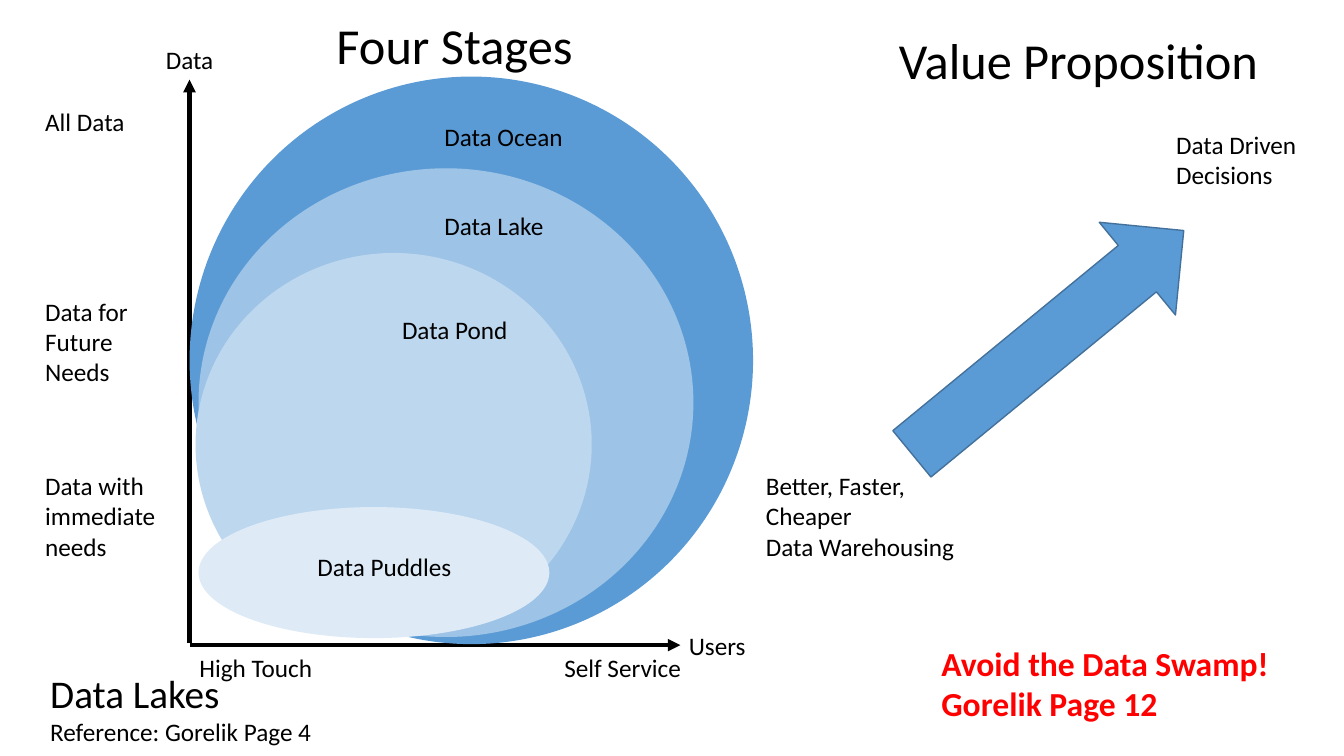
"""Build the four stages of data lakes slide."""
from lxml import etree
from pptx import Presentation
from pptx import util as u
from pptx.dml.color import RGBColor
from pptx.enum import shapes, text
from pptx.oxml.ns import qn

COLORS = {
    "ink": "000000", "warning": "FF0000", "arrow": "5B9BD5", "arrow_edge": "43719C",
    "ocean": "5B9BD5", "lake": "9DC3E6", "pond": "BDD7EE", "puddles": "DEEBF7",
}
BODY, HEADING = 18, 36
LINE_HEIGHT, BOX_PADDING = 1.22, 7.2


class Sketch:
    def __init__(self, page, font):
        self.page = page
        self.font = font

    def color(self, name):
        return RGBColor.from_string(COLORS[name])

    def label(self, left, top, width, lines, sizes=(BODY,), color="ink",
              bold=False, centered=False, wrap=False):
        sizes = sizes if len(sizes) == len(lines) else sizes * len(lines)
        height = BOX_PADDING + LINE_HEIGHT * sum(sizes)
        box = self.page.shapes.add_textbox(u.Pt(left), u.Pt(top), u.Pt(width), u.Pt(height))
        frame = box.text_frame
        frame.word_wrap = wrap
        frame.auto_size = text.MSO_AUTO_SIZE.SHAPE_TO_FIT_TEXT
        frame.text = "\n".join(lines)
        for para, size in zip(frame.paragraphs, sizes):
            para.alignment = text.PP_ALIGN.CENTER if centered else text.PP_ALIGN.LEFT
            for span in para.runs:
                span.font.name = self.font
                span.font.size = u.Pt(size)
                span.font.bold = bold
                span.font.color.rgb = self.color(color)

    def shape(self, kind, left, top, width, height, fill, edge=None, rotation=0):
        shape = self.page.shapes.add_shape(
            kind, u.Pt(left), u.Pt(top), u.Pt(width), u.Pt(height))
        shape.shadow.inherit = False
        shape.rotation = rotation
        shape.fill.solid()
        shape.fill.fore_color.rgb = self.color(fill)
        if edge:
            shape.line.color.rgb = self.color(edge)
            shape.line.width = u.Pt(1)
        else:
            shape.line.fill.background()

    def axis(self, start_x, start_y, end_x, end_y):
        axis = self.page.shapes.add_connector(
            shapes.MSO_CONNECTOR.STRAIGHT,
            u.Pt(start_x), u.Pt(start_y), u.Pt(end_x), u.Pt(end_y))
        axis.line.color.rgb = self.color("ink")
        axis.line.width = u.Pt(3)
        etree.SubElement(axis.line._get_or_add_ln(), qn("a:tailEnd"), type="triangle")
        etree.SubElement(axis._element.spPr, qn("a:effectLst"))


def main():
    deck = Presentation()
    deck.slide_width, deck.slide_height = u.Pt(960), u.Pt(540)
    sketch = Sketch(deck.slides.add_slide(deck.slide_layouts[6]), "Calibri")

    for top, width, lines in (
        (72.7, 72, ["All Data"]),
        (208, 78.5, ["Data for", "Future", "Needs"]),
        (332.6, 98, ["Data with", "immediate", "needs"]),
    ):
        sketch.label(25.2, top, width, lines)

    sketch.axis(135.4, 459.4, 135.4, 56.9)
    sketch.axis(135.4, 460.8, 486, 460.8)
    sketch.label(110.9, 28.1, 49, ["Data"], centered=True)
    sketch.label(484.6, 446.4, 55.4, ["Users"], centered=True)
    for left, caption in ((135.4, "High Touch"), (396, "Self Service")):
        sketch.label(left, 462.2, 108, [caption], wrap=True)
    sketch.label(28.8, 474.5, 432.7, ["Data Lakes", "Reference: Gorelik Page 4"],
                 sizes=(28, BODY), wrap=True)

    for fill, bounds, caption, place in (
        ("ocean", (135.4, 54.7, 402.5, 405.4), "Data Ocean", (310.3, 82.8, 100)),
        ("lake", (141.8, 120.2, 353.5, 334.8), "Data Lake", (310.3, 146.9, 86.4)),
        ("pond", (139.7, 180.7, 283, 273.6), "Data Pond", (280.1, 221, 90.7)),
        ("puddles", (141.8, 362.2, 250.6, 93.6), "Data Puddles", (219.6, 390.2, 111.6)),
    ):
        sketch.shape(shapes.MSO_SHAPE.OVAL, *bounds, fill)
        sketch.label(*place, [caption])

    sketch.label(233.3, 6.5, 185, ["Four Stages"], sizes=(HEADING,))
    sketch.shape(shapes.MSO_SHAPE.RIGHT_ARROW, 622.8, 201.6, 251.3, 85.7,
                 "arrow", edge="arrow_edge", rotation=320.6)
    sketch.label(635, 17.3, 273.6, ["Value Proposition"], sizes=(HEADING,))
    sketch.label(540, 332.6, 150.5, ["Better, Faster,", "Cheaper", "Data Warehousing"])
    sketch.label(833, 88.6, 101.5, ["Data Driven", "Decisions"])
    sketch.label(665.3, 455.8, 250.6, ["Avoid the Data Swamp!", "Gorelik Page 12"],
                 sizes=(24,), color="warning", bold=True)

    deck.save("out.pptx")


if __name__ == "__main__":
    main()
